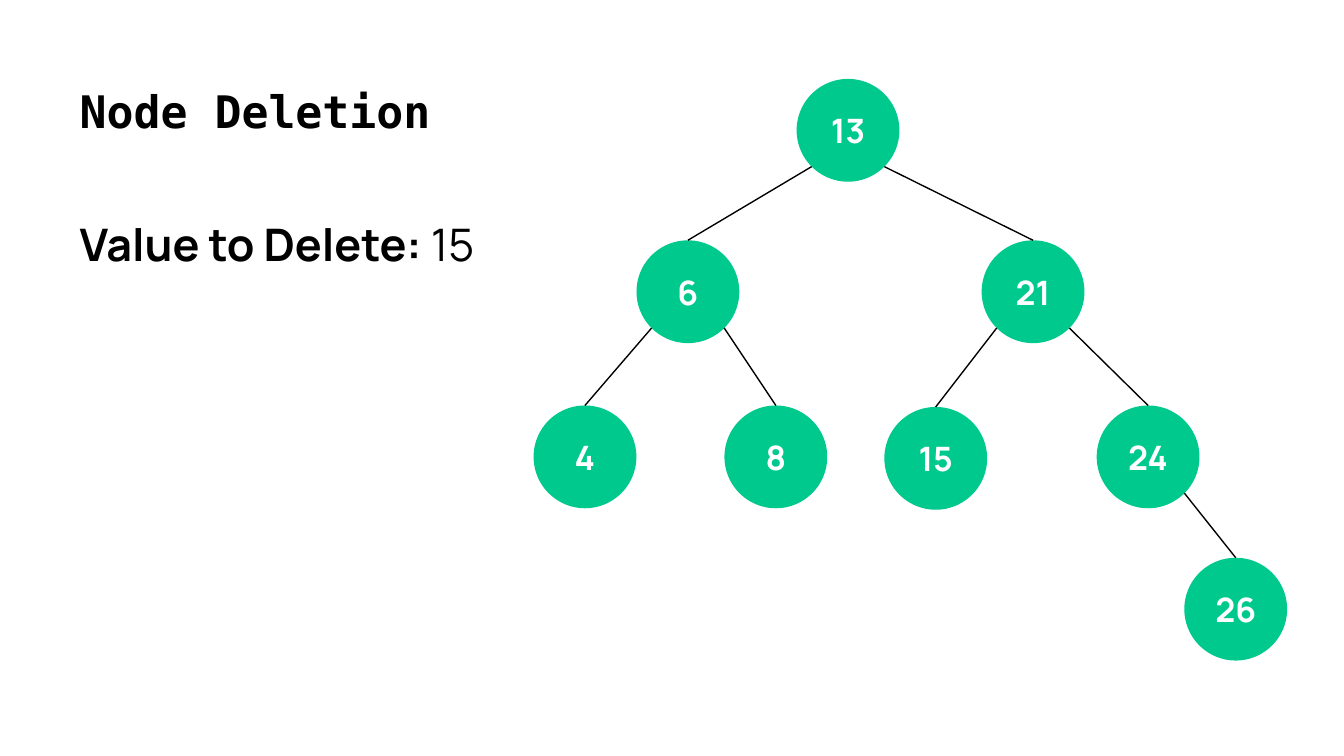
"""Build the slide on deleting a node from a binary search tree."""
from math import sqrt

from pptx import Presentation
from pptx.dml.color import RGBColor
from pptx.enum.shapes import MSO_CONNECTOR, MSO_SHAPE
from pptx.enum.text import MSO_ANCHOR, PP_ALIGN
from pptx.oxml.ns import qn
from pptx.util import Inches, Pt

BLACK = RGBColor(0x00, 0x00, 0x00)
WHITE = RGBColor(0xFF, 0xFF, 0xFF)
GREEN = RGBColor(0x00, 0xC9, 0x8E)

TITLE = {"name": "DejaVu Sans Mono", "size": Pt(24), "bold": True}
LABEL = {"name": "Manrope", "size": Pt(24), "bold": True}
ANSWER = {**LABEL, "bold": False}
KEY = {"name": "Manrope", "size": Pt(18), "bold": True}
INSETS = {f"margin_{side}": Inches(0.1) for side in ("left", "top", "right", "bottom")}

deck = Presentation()
deck.slide_width = Inches(10)
deck.slide_height = deck.slide_width * 9 // 16
slide = deck.slides.add_slide(deck.slide_layouts[6])
CELL = deck.slide_width / 100
DIAMETER = 7.65
REACH = DIAMETER / 2 / sqrt(2)


def cells(*counts):
    return [round(count * CELL) for count in counts]


def write(paragraph, wording, style, color):
    run = paragraph.add_run()
    run.text = wording
    for attribute, value in style.items():
        setattr(run.font, attribute, value)
    run.font.color.rgb = color


headings = [
    ((4.95, 5.25, 90.1, 6.3), [("Node Deletion", TITLE)]),
    ((4.95, 15.1, 35.2, 6.1), [("Value to Delete:", LABEL), (" 15", ANSWER)]),
]
for place, wordings in headings:
    frame = slide.shapes.add_textbox(*cells(*place)).text_frame
    for attribute, value in {**INSETS, "word_wrap": True}.items():
        setattr(frame, attribute, value)
    for wording, style in wordings:
        write(frame.paragraphs[0], wording, style, BLACK)

tree = {
    13: (59.27, 5.87, None),
    6: (47.36, 17.88, 13),
    21: (73.04, 17.88, 13),
    4: (39.7, 30.17, 6),
    8: (53.9, 30.17, 6),
    15: (65.8, 30.28, 21),
    24: (81.6, 30.17, 21),
    26: (88.12, 41.5, 24),
}
for key, (column, row, parent) in tree.items():
    node = slide.shapes.add_shape(MSO_SHAPE.OVAL, *cells(column, row, DIAMETER, DIAMETER))
    node.shadow.inherit = False
    node.fill.solid()
    node.fill.fore_color.rgb = GREEN
    node.line.fill.background()
    frame = node.text_frame
    for attribute, value in {**INSETS, "vertical_anchor": MSO_ANCHOR.MIDDLE}.items():
        setattr(frame, attribute, value)
    frame.paragraphs[0].alignment = PP_ALIGN.CENTER
    write(frame.paragraphs[0], str(key), KEY, WHITE)

    if parent is None:
        continue
    parent_column, parent_row, _ = tree[parent]
    side = 1 if key > parent else -1
    start_column = parent_column + DIAMETER / 2 + side * REACH
    start_row = parent_row + DIAMETER / 2 + REACH
    branch = slide.shapes.add_connector(
        MSO_CONNECTOR.STRAIGHT, *cells(start_column, start_row, column + DIAMETER / 2, row)
    )
    branch.line.color.rgb = BLACK
    branch.line.width = Pt(0.75)
    properties = branch.element.spPr
    properties.append(properties.makeelement(qn("a:effectLst"), {}))

deck.save("out.pptx")
